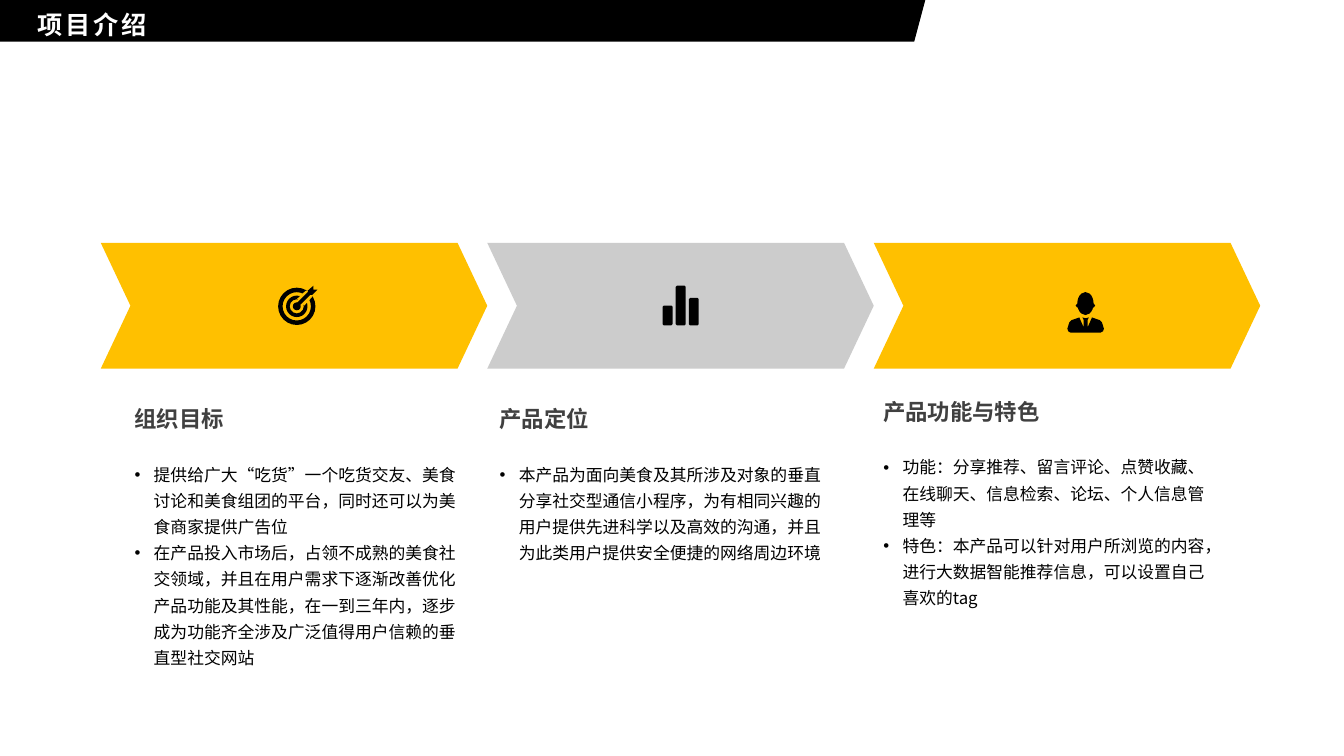
import pptx
import pptx.util
import pptx.dml.color
import pptx.enum.shapes
import pptx.enum.text
import pptx.oxml.ns
import lxml.etree

Cm = pptx.util.Cm
Pt = pptx.util.Pt
SHAPE = pptx.enum.shapes.MSO_SHAPE
FONT = "Noto Sans CJK SC"
COLORS = {
    "black": "000000",
    "white": "FFFFFF",
    "gold": "FFC000",
    "gray": "CCCCCC",
    "heading": "404040",
}
BAR_HEIGHTS = [0.5, 1, 0.69]
ARROW = [(0.89, 0), (0.89, 0.1), (0.99, 0.1), (0.86, 0.23), (0.81, 0.23),
         (0.56, 0.48), (0.48, 0.43), (0.76, 0.15), (0.74, 0.13)]
ARROW_GAP = [(0.48, 0.33), (0.69, 0.13), (0.9, 0.1), (0.86, 0.28), (0.66, 0.5)]
SUIT = [(0, 0.92), (0.05, 0.76), (0.1, 0.71), (0.3, 0.64), (0.41, 0.89),
        (0.41, 0.7), (0.38, 0.64), (0.46, 0.66), (0.54, 0.64), (0.51, 0.7),
        (0.51, 0.89), (0.62, 0.64), (0.82, 0.71), (0.87, 0.76), (0.92, 0.92),
        (0.9, 0.99), (0.84, 1.02), (0.08, 1.02), (0.02, 0.99)]


def rgb(color):
    return pptx.dml.color.RGBColor.from_string(COLORS[color])


def place(sp, x, y, w, h):
    sp.left, sp.top, sp.width, sp.height = Cm(x), Cm(y), Cm(w), Cm(h)


def paint(sp, color):
    sp.shadow.inherit = False
    sp.fill.solid()
    sp.fill.fore_color.rgb = rgb(color)
    sp.line.fill.background()


def add_preset(s, kind, x, y, w, h, color, adj=None):
    sp = s.shapes.add_shape(kind, Cm(x), Cm(y), Cm(w), Cm(h))
    paint(sp, color)
    if adj is not None:
        sp.adjustments[0] = adj


def add_outline(s, x, y, color, *contours):
    builder = None
    for points in contours:
        start, *rest = [(Cm(x + dx), Cm(y + dy)) for dx, dy in points]
        if builder is None:
            builder = s.shapes.build_freeform(*start)
        else:
            builder.move_to(*start)
        builder.add_line_segments(rest, close=True)
    paint(builder.convert_to_shape(), color)


def format_run(r, size, color, bold=False):
    r.font.size = Pt(size)
    r.font.bold = bold
    r.font.color.rgb = rgb(color)
    r.font.name = FONT
    ea = lxml.etree.SubElement(r.font._element, pptx.oxml.ns.qn("a:ea"))
    ea.set("typeface", FONT)


def add_header(s, x, y, w, h):
    add_outline(s, x, y, "black", [(w, 0), (0, 0), (0, h), (w - 0.28, h)])
    sp = s.shapes.title
    s.shapes._spTree.append(sp._element)
    place(sp, x + 0.7, y - 0.05, 10.19, 1.17)
    tf = sp.text_frame
    tf.text = "项目介绍"
    tf.vertical_anchor = pptx.enum.text.MSO_ANCHOR.TOP
    tf.auto_size = pptx.enum.text.MSO_AUTO_SIZE.NONE
    p = tf.paragraphs[0]
    p.alignment = pptx.enum.text.PP_ALIGN.LEFT
    p.line_spacing = 1.2
    format_run(p.runs[0], 18, "white", True)
    p.runs[0].font._element.set("spc", "200")


def draw_target(s, x, y):
    add_preset(s, SHAPE.DONUT, x, y + 0.05, 0.94, 0.94, "black", 0.12)
    add_preset(s, SHAPE.DONUT, x + 0.2, y + 0.25, 0.54, 0.54, "black", 0.17)
    add_outline(s, x, y, "gold", ARROW_GAP)
    add_preset(s, SHAPE.OVAL, x + 0.37, y + 0.42, 0.2, 0.2, "black")
    add_outline(s, x, y, "black", ARROW)


def bar_contour(left, top, right, bottom, cut=0.03):
    return [(left + cut, top), (right - cut, top), (right, top + cut),
            (right, bottom - cut), (right - cut, bottom), (left + cut, bottom),
            (left, bottom - cut), (left, top + cut)]


def draw_bars(s, x, y):
    base = max(BAR_HEIGHTS)
    bars = [bar_contour(0.33 * i, base - h, 0.33 * i + 0.25, base)
            for i, h in enumerate(BAR_HEIGHTS)]
    add_outline(s, x, y, "black", *bars)


def draw_person(s, x, y):
    add_preset(s, SHAPE.OVAL, x + 0.25, y, 0.41, 0.58, "black")
    add_preset(s, SHAPE.OVAL, x + 0.21, y + 0.25, 0.49, 0.18, "black")
    add_outline(s, x, y, "black", SUIT)


def add_heading(s, x, y, text):
    sp = s.shapes.add_textbox(Cm(x), Cm(y), Cm(0.56 * (len(text) + 1)), Cm(0.94))
    tf = sp.text_frame
    tf.word_wrap = False
    tf.text = text
    format_run(tf.paragraphs[0].runs[0], 16, "heading", True)


def fill_list(sp, x, y, w, h, items):
    place(sp, x, y, w, h)
    tf = sp.text_frame
    tf.text = "\n".join(items)
    tf.vertical_anchor = pptx.enum.text.MSO_ANCHOR.TOP
    tf.auto_size = pptx.enum.text.MSO_AUTO_SIZE.NONE
    for p in tf.paragraphs:
        p.line_spacing = 1.3
        p.space_before = Pt(0)
        pPr = p._p.get_or_add_pPr()
        pPr.set("marL", str(Cm(0.48)))
        pPr.set("indent", str(-Cm(0.48)))
        font = lxml.etree.SubElement(pPr, pptx.oxml.ns.qn("a:buFont"))
        font.set("typeface", "Arial")
        bullet = lxml.etree.SubElement(pPr, pptx.oxml.ns.qn("a:buChar"))
        bullet.set("char", "•")
        format_run(p.runs[0], 12, "black")


def add_column(s, x, y, w, h, body, column):
    add_preset(s, SHAPE.CHEVRON, x, y, w, h, column["color"], 0.236)
    icon_x, icon_y = column["icon_at"]
    column["icon"](s, x + icon_x, y + icon_y)
    text_x, text_y = column["text_at"]
    add_heading(s, x + text_x, y + text_y, column["heading"])
    fill_list(body, x + text_x, y + text_y + 1.33, 8.79, column["list_height"],
              column["items"])


COLUMNS = [
    {"color": "gold", "icon": draw_target, "icon_at": (4.47, 1.08),
     "text_at": (0.6, 3.97), "heading": "组织目标", "list_height": 6.93,
     "items": [
         "提供给广大“吃货”一个吃货交友、美食讨论和美食组团的平台，同时还可以为美食商家提供广告位",
         "在产品投入市场后，占领不成熟的美食社交领域，并且在用户需求下逐渐改善优化产品功能及其性能，"
         "在一到三年内，逐步成为功能齐全涉及广泛值得用户信赖的垂直型社交网站"]},
    {"color": "gray", "icon": draw_bars, "icon_at": (4.42, 1.08),
     "text_at": (0.06, 3.97), "heading": "产品定位", "list_height": 2.92,
     "items": [
         "本产品为面向美食及其所涉及对象的垂直分享社交型通信小程序，为有相同兴趣的用户提供先进科学"
         "以及高效的沟通，并且为此类用户提供安全便捷的网络周边环境"]},
    {"color": "gold", "icon": draw_person, "icon_at": (4.88, 1.24),
     "text_at": (-0.01, 3.79), "heading": "产品功能与特色", "list_height": 4.93,
     "items": [
         "功能：分享推荐、留言评论、点赞收藏、在线聊天、信息检索、论坛、个人信息管理等",
         "特色：本产品可以针对用户所浏览的内容，进行大数据智能推荐信息，可以设置自己喜欢的tag"]},
]


def main():
    prs = pptx.Presentation()
    prs.slide_width, prs.slide_height = Cm(33.87), Cm(19.05)
    s = prs.slides.add_slide(prs.slide_layouts.get_by_name("Comparison"))
    *bodies, spare = list(s.placeholders)[1:]
    spare._element.getparent().remove(spare._element)
    add_header(s, 0, 0, 23.32, 1.05)
    width = 9.74
    for i, (body, column) in enumerate(zip(bodies, COLUMNS)):
        add_column(s, 2.54 + i * width, 6.12, width, 3.17, body, column)
    prs.save("out.pptx")


if __name__ == "__main__":
    main()
